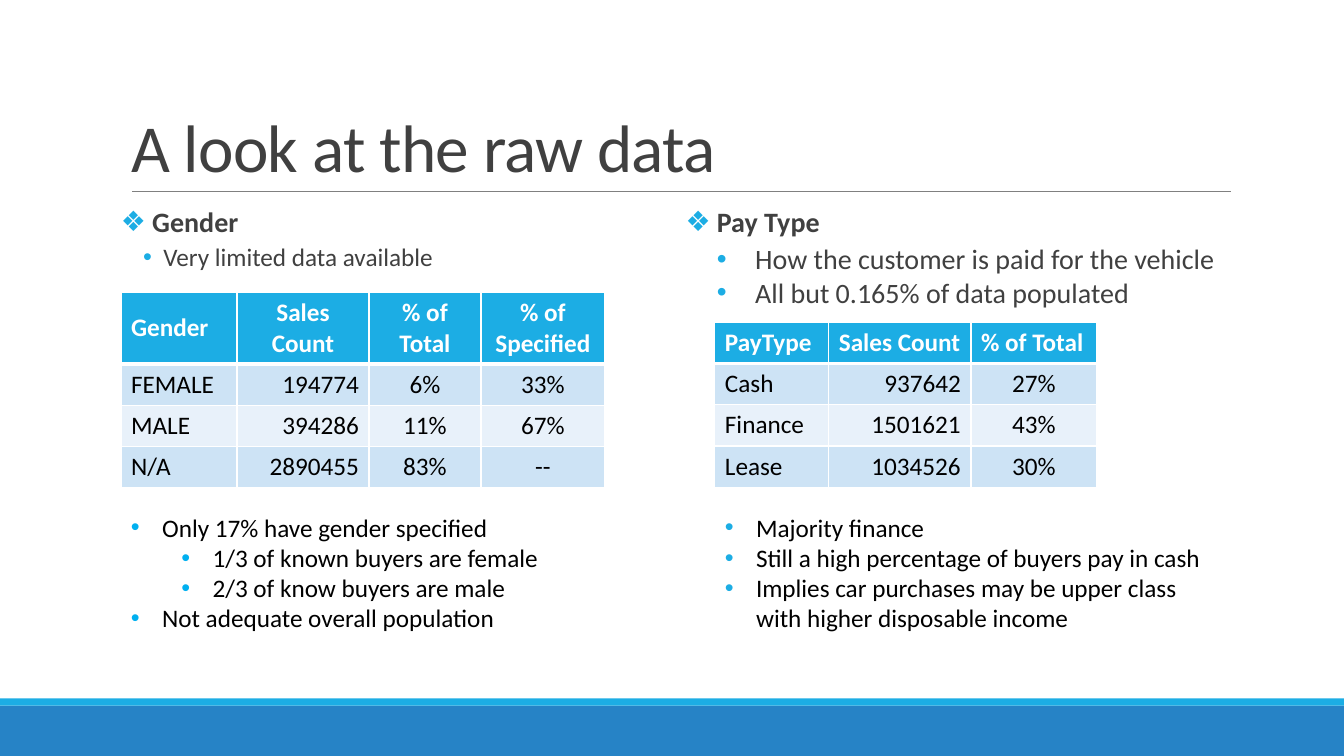
from lxml.etree import SubElement
from pptx import Presentation
from pptx.dml.color import RGBColor
from pptx.enum.shapes import MSO_CONNECTOR, MSO_SHAPE
from pptx.enum.text import MSO_ANCHOR, MSO_AUTO_SIZE, PP_ALIGN
from pptx.oxml.ns import qn
from pptx.util import Inches, Pt

FONT = "Calibri"
ACCENT, BLUE, GRAY, BLACK, WHITE = "1CADE4", "2683C6", "404040", "000000", "FFFFFF"
LEFT, CENTER, RIGHT = PP_ALIGN.LEFT, PP_ALIGN.CENTER, PP_ALIGN.RIGHT


def color(hex_value):
    return RGBColor.from_string(hex_value)


def add_text(paragraph, text, size, text_color, bold=False):
    run = paragraph.add_run()
    run.text = text
    run.font.name = FONT
    run.font.size = Pt(size)
    run.font.bold = bold
    run.font.color.rgb = color(text_color)
    return run


presentation = Presentation()
presentation.slide_width = Inches(13.33)
presentation.slide_height = Inches(7.5)
slide = presentation.slides.add_slide(presentation.slide_layouts[3])
shapes = slide.shapes
title, gender_body, pay_body = slide.placeholders

# Footer bars
for top, height, fill in ((7, 0.5, BLUE), (6.93, 0.07, ACCENT)):
    bar = shapes.add_shape(MSO_SHAPE.RECTANGLE, 0, Inches(top), presentation.slide_width, Inches(height))
    bar.shadow.inherit = False
    bar.fill.solid()
    bar.fill.fore_color.rgb = color(fill)
    bar.line.fill.background()

# Title and the rule below it
title.left, title.top, title.width, title.height = map(Inches, (1.2, 0.31, 11, 1.59))
title.text_frame.vertical_anchor = MSO_ANCHOR.BOTTOM
title.text_frame.auto_size = MSO_AUTO_SIZE.NONE
heading = title.text_frame.paragraphs[0]
heading.alignment = LEFT
heading.line_spacing = 0.85
heading_run = add_text(heading, "A look at the raw data", 48, GRAY)
heading_run.font._element.set("spc", "-50")

rule = shapes.add_connector(MSO_CONNECTOR.STRAIGHT, Inches(1.31), Inches(1.9), Inches(12.21), Inches(1.9))
rule.line.color.rgb = color("808080")
rule.line.width = Pt(0.5)
SubElement(rule._element.spPr, qn("a:effectLst"))

# Bulleted lists: two body placeholders above the tables, two text boxes below
gender_notes = shapes.add_textbox(0, 0, 0, 0)
pay_notes = shapes.add_textbox(0, 0, 0, 0)

# Paragraph style: bullet, text indent, hanging, size, bold, line spacing, before, after
HEAD = ("❖", 0.31, 0.31, 20, True, 0.9, 0, 2)
GENDER_SUB = ("•", 0.42, 0.2, 18, False, 0.9, 2, 4)
PAY_SUB = ("•", 0.69, 0.38, 20, False, 1, 0, 0)
NOTE = ("•", 0.31, 0.31, 18, False, 1, 0, 0)
SUB_NOTE = ("•", 0.81, 0.31, 18, False, 1, 0, 0)

lists = [
    (gender_body, (1.2, 2.02, 5.11, 1.01), 0, GRAY, ACCENT, [
        (HEAD, "Gender"),
        (GENDER_SUB, "Very limited data available")]),
    (pay_body, (6.8, 2.02, 5.4, 1.67), 0, GRAY, ACCENT, [
        (HEAD, "Pay Type"),
        (PAY_SUB, "How the customer is paid for the vehicle"),
        (PAY_SUB, "All but 0.165% of data populated")]),
    (gender_notes, (1.2, 5.03, 4.63, 1.31), 0.1, BLACK, "00B0F0", [
        (NOTE, "Only 17% have gender specified"),
        (SUB_NOTE, "1/3 of known buyers are female"),
        (SUB_NOTE, "2/3 of know buyers are male"),
        (NOTE, "Not adequate overall population")]),
    (pay_notes, (7.09, 5.03, 5.01, 1.31), 0.1, BLACK, ACCENT, [
        (NOTE, "Majority finance"),
        (NOTE, "Still a high percentage of buyers pay in cash"),
        (NOTE, "Implies car purchases may be upper class with higher disposable income")]),
]
for shape, box, inset, text_color, bullet_color, items in lists:
    shape.left, shape.top, shape.width, shape.height = map(Inches, box)
    frame = shape.text_frame
    frame.word_wrap = True
    frame.auto_size = MSO_AUTO_SIZE.NONE
    frame.margin_left = frame.margin_right = Inches(inset)
    for index, (style, text) in enumerate(items):
        bullet, indent, hanging, size, bold, line_spacing, before, after = style
        paragraph = frame.paragraphs[0] if index == 0 else frame.add_paragraph()
        paragraph.level = 1 if style in (GENDER_SUB, PAY_SUB, SUB_NOTE) else 0
        paragraph.line_spacing = line_spacing
        paragraph.space_before, paragraph.space_after = Pt(before), Pt(after)
        add_text(paragraph, text, size, text_color, bold)
        properties = paragraph._p.get_or_add_pPr()
        properties.set("marL", str(Inches(indent)))
        properties.set("indent", str(-Inches(hanging)))
        SubElement(SubElement(properties, qn("a:buClr")), qn("a:srgbClr"), val=bullet_color)
        SubElement(properties, qn("a:buFont"), typeface="Arial")
        SubElement(properties, qn("a:buChar"), char=bullet)

# Data tables
ROW_HEIGHT = 0.41
COLUMN_ALIGNMENTS = (LEFT, RIGHT, CENTER, CENTER)
tables = [
    (1.2, 2.9, 0.69, (1.15, 1.31, 1.11, 1.23), (LEFT, CENTER, CENTER, CENTER), [
        ("Gender", "Sales Count", "% of Total", "% of Specified"),
        ("FEMALE", "194774", "6%", "33%"),
        ("MALE", "394286", "11%", "67%"),
        ("N/A", "2890455", "83%", "--")]),
    (7.09, 3.2, 0.39, (1.13, 1.41, 1.25), (LEFT, LEFT, LEFT), [
        ("PayType", "Sales Count", "% of Total"),
        ("Cash", "937642", "27%"),
        ("Finance", "1501621", "43%"),
        ("Lease", "1034526", "30%")]),
]
for left, top, header_height, widths, header_alignments, rows in tables:
    heights = [header_height] + [ROW_HEIGHT] * (len(rows) - 1)
    table = shapes.add_table(len(rows), len(widths), Inches(left), Inches(top),
                             Inches(sum(widths)), Inches(sum(heights))).table
    for column, width in zip(table.columns, widths):
        column.width = Inches(width)
    for row_index, (values, height) in enumerate(zip(rows, heights)):
        table.rows[row_index].height = Inches(height)
        is_header = row_index == 0
        alignments = header_alignments if is_header else COLUMN_ALIGNMENTS
        fill = ACCENT if is_header else ("E8F1FA", "CDE3F5")[row_index % 2]
        thick_side = {0: "lnB", 1: "lnT"}.get(row_index)
        for column_index, value in enumerate(values):
            cell = table.cell(row_index, column_index)
            cell.vertical_anchor = MSO_ANCHOR.MIDDLE if is_header else MSO_ANCHOR.TOP
            paragraph = cell.text_frame.paragraphs[0]
            paragraph.alignment = alignments[column_index]
            add_text(paragraph, value, 18, WHITE if is_header else BLACK, is_header)
            cell_properties = cell._tc.get_or_add_tcPr()
            for side in ("lnL", "lnR", "lnT", "lnB"):
                border = SubElement(cell_properties, qn(f"a:{side}"), w=str(Pt(3 if side == thick_side else 1)))
                SubElement(SubElement(border, qn("a:solidFill")), qn("a:srgbClr"), val=WHITE)
            cell.fill.solid()
            cell.fill.fore_color.rgb = color(fill)

presentation.save("out.pptx")
